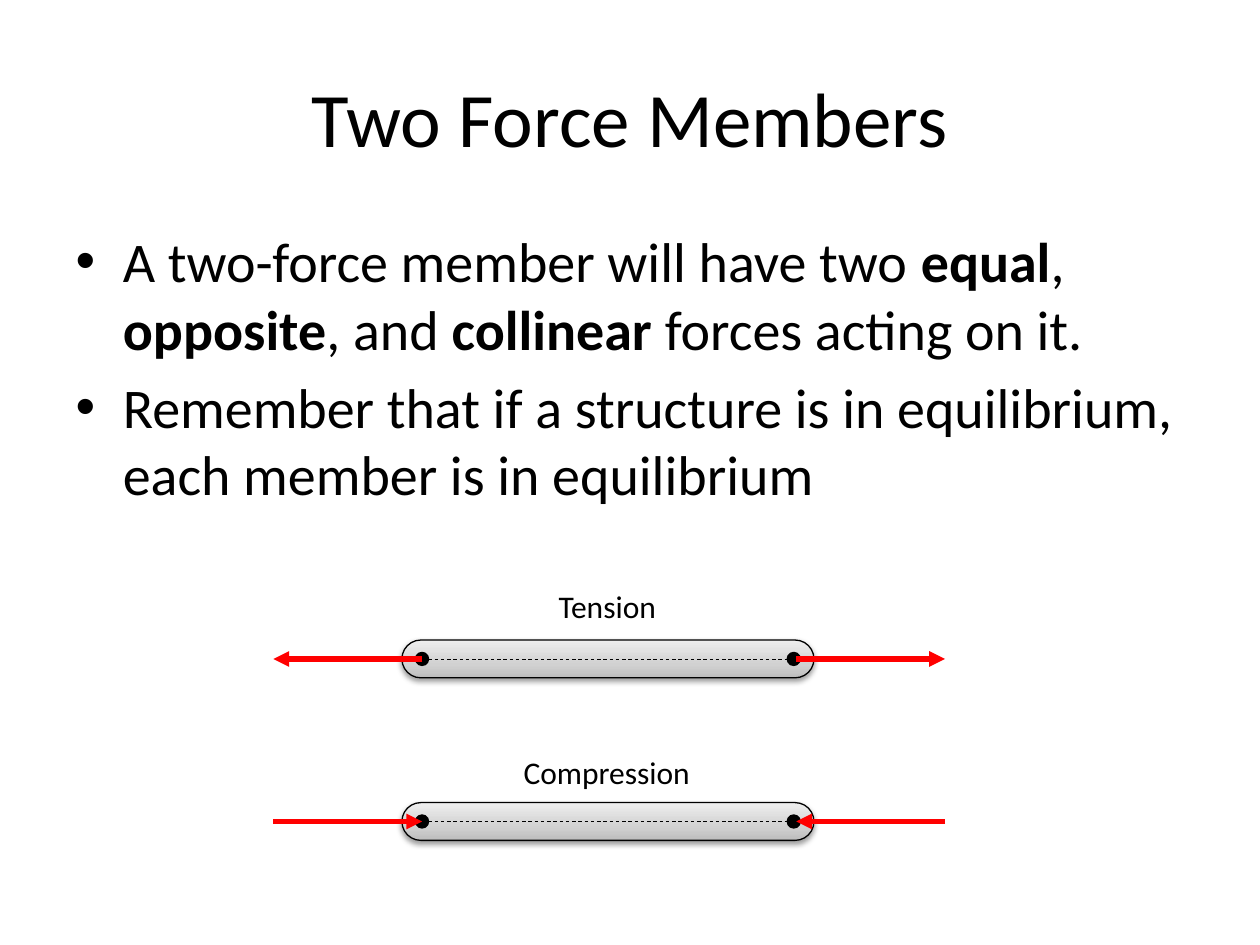
import copy

import lxml.etree
import pptx
import pptx.dml.color
import pptx.enum.dml
import pptx.enum.shapes
import pptx.enum.text
import pptx.oxml.ns
import pptx.util

Inches = pptx.util.Inches
Pt = pptx.util.Pt
RGB = pptx.dml.color.RGBColor
SHAPE = pptx.enum.shapes.MSO_SHAPE
BLACK = RGB(0x00, 0x00, 0x00)
RED = RGB(0xFF, 0x00, 0x00)
SHADES = [(0, RGB(0xBD, 0xBD, 0xBD)), (0.35, RGB(0xD1, 0xD1, 0xD1)),
          (1, RGB(0xEE, 0xEE, 0xEE))]


def add_node(parent, tag, **attrs):
    return lxml.etree.SubElement(parent, pptx.oxml.ns.qn(tag), attrs)


def add_line(group, start, end, y, color, width):
    """Draw a level line without shadow and return it."""
    line = group.shapes.add_connector(
        pptx.enum.shapes.MSO_CONNECTOR.STRAIGHT,
        Inches(start), Inches(y), Inches(end), Inches(y))
    line.line.color.rgb = color
    line.line.width = Pt(width)
    add_node(line._element.spPr, "a:effectLst")
    return line


prs = pptx.Presentation()
prs.slide_width, prs.slide_height = Inches(10), Inches(7.5)
slide = prs.slides.add_slide(prs.slide_layouts[1])
title, body = slide.placeholders

# Title and list
for holder, top, height in [(title, 0.3, 1.25), (body, 1.75, 4.95)]:
    holder.left, holder.top = Inches(0.5), Inches(top)
    holder.width, holder.height = Inches(9), Inches(height)

title.text_frame.text = "Two Force Members"
points = [
    [("A two-force member will have two ", False), ("equal", True),
     (", ", False), ("opposite", True), (", and ", False),
     ("collinear", True), (" forces acting on it.", False)],
    [("Remember that if a structure is in equilibrium, "
      "each member is in equilibrium", False)],
]
frame = body.text_frame
for i, runs in enumerate(points):
    para = frame.add_paragraph() if i else frame.paragraphs[0]
    para.space_before = Pt(6.4 if i else 0)
    for text, bold in runs:
        run = para.add_run()
        run.text = text
        run.font.bold = bold

# Members: label, label box, middle height, arrows from tail to head
left, right = (2.17, 3.35), (7.5, 6.32)
members = [
    ("Tension", (4.33, 4.61, 0.98), 5.23, [right[::-1], left[::-1]]),
    ("Compression", (4.02, 5.93, 1.59), 6.52, [right, left]),
]
for name, (x, y, width), mid, arrows in members:
    group = slide.shapes.add_group_shape()

    bar = group.shapes.add_shape(
        SHAPE.ROUNDED_RECTANGLE, Inches(3.19), Inches(mid - 0.15),
        Inches(3.27), Inches(0.3))
    bar.adjustments[0] = 0.5
    bar.fill.gradient()
    bar.fill.gradient_angle = 90
    stops = bar._element.spPr.find(".//" + pptx.oxml.ns.qn("a:gsLst"))
    stops.append(copy.deepcopy(stops[0]))
    for stop, (place, color) in zip(bar.fill.gradient_stops, SHADES):
        stop.position = place
        stop.color.rgb = color
    bar.line.color.rgb = BLACK
    bar.line.width = Pt(0.75)
    effects = add_node(bar._element.spPr, "a:effectLst")
    shadow = add_node(effects, "a:outerShdw", blurRad=str(Pt(3.1)),
                      dist=str(Pt(1.6)), dir="5400000", rotWithShape="0")
    shade = add_node(shadow, "a:srgbClr", val=str(BLACK))
    add_node(shade, "a:alpha", val="38000")

    for pin_x in (3.3, 6.25):
        pin = group.shapes.add_shape(
            SHAPE.OVAL, Inches(pin_x), Inches(mid - 0.05),
            Inches(0.1), Inches(0.1))
        pin.shadow.inherit = False
        pin.fill.solid()
        pin.fill.fore_color.rgb = BLACK
        pin.line.color.rgb = BLACK
        pin.line.width = Pt(1)

    for start, end in arrows:
        arrow = add_line(group, start, end, mid, RED, 3)
        add_node(arrow.line._get_or_add_ln(), "a:tailEnd", type="triangle")

    axis = add_line(group, 3.35, 6.3, mid, BLACK, 0.5)
    axis.line.dash_style = pptx.enum.dml.MSO_LINE.DASH

    label = group.shapes.add_textbox(
        Inches(x), Inches(y), Inches(width), Inches(0.4))
    label.text_frame.word_wrap = False
    label.text_frame.auto_size = pptx.enum.text.MSO_AUTO_SIZE.SHAPE_TO_FIT_TEXT
    label.text_frame.text = name
    label.text_frame.paragraphs[0].alignment = pptx.enum.text.PP_ALIGN.CENTER

    # Label format follows the table below
    formats = {"name": "Calibri", "size": Pt(18)}
    font = label.text_frame.paragraphs[0].runs[0].font
    for key, value in formats.items():
        setattr(font, key, value)
    font.color.rgb = BLACK

# Title and list fonts
for holder, size in [(title, 44), (body, 32)]:
    formats = {"name": "Calibri", "size": Pt(size)}
    for para in holder.text_frame.paragraphs:
        for run in para.runs:
            for key, value in formats.items():
                setattr(run.font, key, value)
            run.font.color.rgb = BLACK

prs.save("out.pptx")
